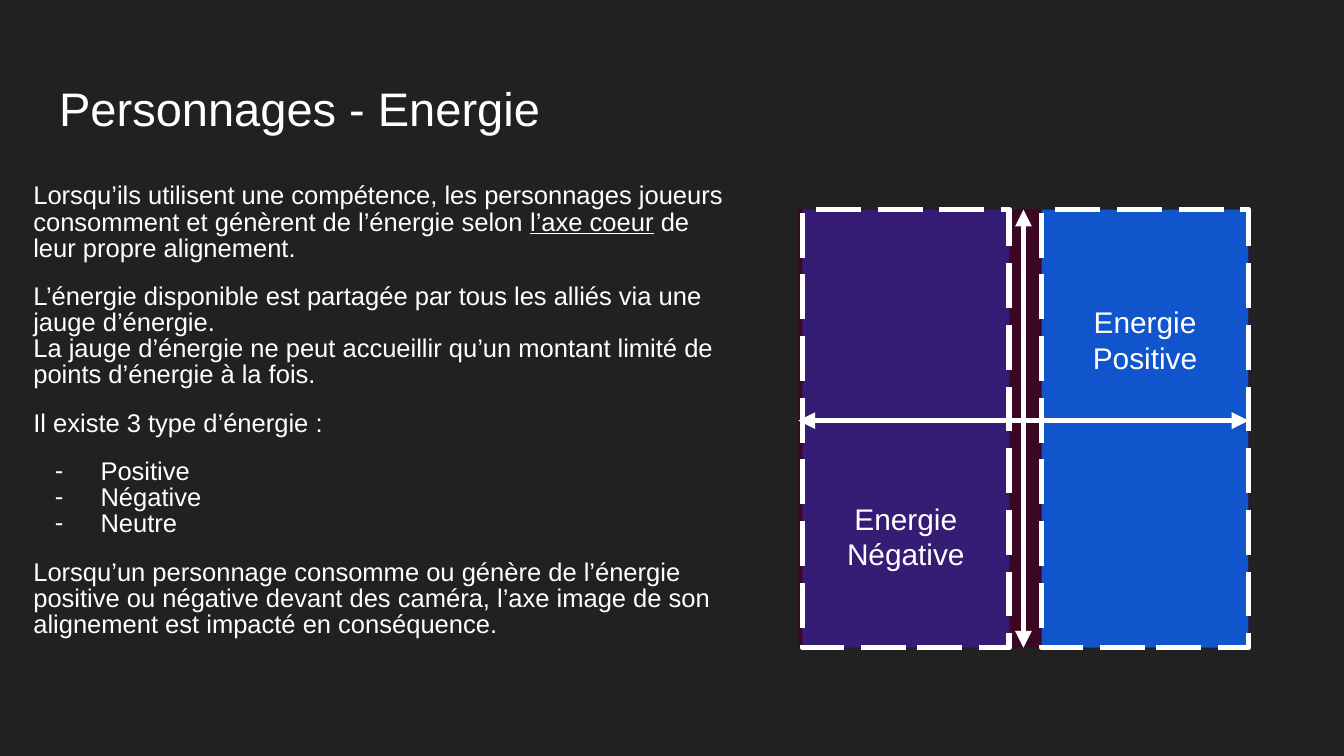
from dataclasses import dataclass

from lxml import etree
from pptx import Presentation
from pptx.dml.color import RGBColor
from pptx.enum import dml, shapes, text
from pptx.oxml import ns
from pptx.util import Inches, Pt

BACKGROUND = RGBColor(0x21, 0x21, 0x21)
WHITE = RGBColor(0xFF, 0xFF, 0xFF)
MAROON = RGBColor(0x3B, 0x07, 0x22)
PURPLE = RGBColor(0x35, 0x1C, 0x75)
BLUE = RGBColor(0x11, 0x55, 0xCC)

SLIDE_WIDTH = 10
SLIDE_HEIGHT = SLIDE_WIDTH * 9 / 16
CHART_LEFT, CHART_TOP, CHART_WIDTH, CHART_HEIGHT = 5.94, 1.56, 3.35, 3.26
AXIS_Y = 3.13
LINE_WIDTH = Pt(3)
INSET = 0.1
BODY_SIZE = 13.7


@dataclass(frozen=True)
class Zone:
    """A dashed energy area; its insets push the label up or down."""
    label: str
    left: float
    color: RGBColor
    inset_top: float = INSET
    inset_bottom: float = INSET


@dataclass(frozen=True)
class Block:
    """A body paragraph: lines of runs, where a run may be underlined."""
    lines: tuple[tuple[str, ...], ...]
    space_before: int = 12
    space_after: int = 0
    bullet: bool = False
    underlined: str = ""


ZONES = (
    Zone("Energie Négative", 5.97, PURPLE, inset_top=1.7),
    Zone("Energie Positive", 7.75, BLUE, inset_bottom=1.42),
)

BLOCKS = (
    Block((("Lorsqu’ils utilisent une compétence, les personnages joueurs "
            "consomment et génèrent de l’énergie selon ",
            "l’axe coeur", " de leur propre alignement."),),
          space_before=0, underlined="l’axe coeur"),
    Block((("L’énergie disponible est partagée par tous les alliés via une "
            "jauge d’énergie.",),
           ("La jauge d’énergie ne peut accueillir qu’un montant limité de "
            "points d’énergie à la fois.",))),
    Block((("Il existe 3 type d’énergie :",),)),
    Block((("Positive",),), bullet=True),
    Block((("Négative",),), space_before=0, bullet=True),
    Block((("Neutre",),), space_before=0, bullet=True),
    Block((("Lorsqu’un personnage consomme ou génère de l’énergie positive ou "
            "négative devant des caméra, l’axe image de son alignement est "
            "impacté en conséquence.",),), space_after=12),
)


def format_font(font, size: float) -> None:
    for name, value in {"name": "Arial", "size": Pt(size), "bold": False}.items():
        setattr(font, name, value)
    font.color.rgb = WHITE


def format_frame(frame, anchor, top: float = INSET, bottom: float = INSET) -> None:
    values = {
        "word_wrap": True,
        "auto_size": text.MSO_AUTO_SIZE.NONE,
        "vertical_anchor": anchor,
        "margin_left": Inches(INSET),
        "margin_right": Inches(INSET),
        "margin_top": Inches(top),
        "margin_bottom": Inches(bottom),
    }
    for name, value in values.items():
        setattr(frame, name, value)


def add_title(slide, wording: str) -> None:
    title = slide.shapes.title
    place = {"left": 0.34, "top": 0.49, "width": 9.32, "height": 0.63}
    for name, value in place.items():
        setattr(title, name, Inches(value))
    format_frame(title.text_frame, text.MSO_ANCHOR.MIDDLE)
    title.text_frame.text = wording
    paragraph = title.text_frame.paragraphs[0]
    paragraph.alignment = text.PP_ALIGN.LEFT
    format_font(paragraph.runs[0].font, 25.2)


def add_dash_bullet(paragraph) -> None:
    properties = paragraph._p.get_or_add_pPr()
    properties.set("marL", str(Inches(0.5)))
    properties.set("indent", str(Inches(-0.34)))
    color = etree.SubElement(properties, ns.qn("a:buClr"))
    etree.SubElement(color, ns.qn("a:srgbClr"), val=str(WHITE))
    etree.SubElement(properties, ns.qn("a:buSzPts"), val=str(round(BODY_SIZE * 100)))
    etree.SubElement(properties, ns.qn("a:buFont"), typeface="Arial")
    etree.SubElement(properties, ns.qn("a:buChar"), char="-")


def add_body(slide) -> None:
    box = slide.shapes.add_textbox(Inches(0.15), Inches(1.27), Inches(5.36), Inches(3.74))
    frame = box.text_frame
    format_frame(frame, text.MSO_ANCHOR.TOP)
    for index, block in enumerate(BLOCKS):
        paragraph = frame.add_paragraph() if index else frame.paragraphs[0]
        paragraph.line_spacing = 0.85
        paragraph.space_before = Pt(block.space_before)
        paragraph.space_after = Pt(block.space_after)
        if block.bullet:
            add_dash_bullet(paragraph)
        for number, line in enumerate(block.lines):
            if number:
                paragraph.add_line_break()
            for wording in line:
                run = paragraph.add_run()
                run.text = wording
                format_font(run.font, BODY_SIZE)
                if wording == block.underlined:
                    run.font.underline = True


def add_rectangle(slide, left: float, width: float, color: RGBColor):
    rectangle = slide.shapes.add_shape(
        shapes.MSO_SHAPE.RECTANGLE,
        Inches(left), Inches(CHART_TOP), Inches(width), Inches(CHART_HEIGHT))
    rectangle.shadow.inherit = False
    rectangle.fill.solid()
    rectangle.fill.fore_color.rgb = color
    rectangle.line.fill.background()
    return rectangle


def add_zone(slide, zone: Zone) -> None:
    rectangle = add_rectangle(slide, zone.left, 1.54, zone.color)
    rectangle.line.color.rgb = WHITE
    rectangle.line.width = LINE_WIDTH
    rectangle.line.dash_style = dml.MSO_LINE.LONG_DASH
    frame = rectangle.text_frame
    format_frame(frame, text.MSO_ANCHOR.MIDDLE, zone.inset_top, zone.inset_bottom)
    frame.text = zone.label
    paragraph = frame.paragraphs[0]
    paragraph.alignment = text.PP_ALIGN.CENTER
    format_font(paragraph.runs[0].font, 16)


def add_axis(slide, start: tuple[float, float], end: tuple[float, float]):
    """Draw a line with an arrowhead at both ends."""
    axis = slide.shapes.add_connector(
        shapes.MSO_CONNECTOR.STRAIGHT, *map(Inches, start + end))
    axis.line.color.rgb = WHITE
    axis.line.width = LINE_WIDTH
    line = axis.line._get_or_add_ln()
    for tag in ("a:headEnd", "a:tailEnd"):
        etree.SubElement(line, ns.qn(tag), type="triangle")
    etree.SubElement(axis._element.spPr, ns.qn("a:effectLst"))
    return axis


def main() -> None:
    presentation = Presentation()
    presentation.slide_width = Inches(SLIDE_WIDTH)
    presentation.slide_height = Inches(SLIDE_HEIGHT)
    slide = presentation.slides.add_slide(presentation.slide_layouts[5])
    slide.background.fill.solid()
    slide.background.fill.fore_color.rgb = BACKGROUND

    backdrop = add_rectangle(slide, CHART_LEFT, CHART_WIDTH, MAROON)
    add_title(slide, "Personnages - Energie")
    add_body(slide)
    for zone in ZONES:
        add_zone(slide, zone)

    middle = CHART_LEFT + CHART_WIDTH / 2
    vertical = add_axis(slide, (middle, CHART_TOP), (middle, CHART_TOP + CHART_HEIGHT))
    vertical.begin_connect(backdrop, 0)
    vertical.end_connect(backdrop, 2)
    add_axis(slide, (CHART_LEFT, AXIS_Y), (CHART_LEFT + CHART_WIDTH, AXIS_Y))

    presentation.save("out.pptx")


if __name__ == "__main__":
    main()
